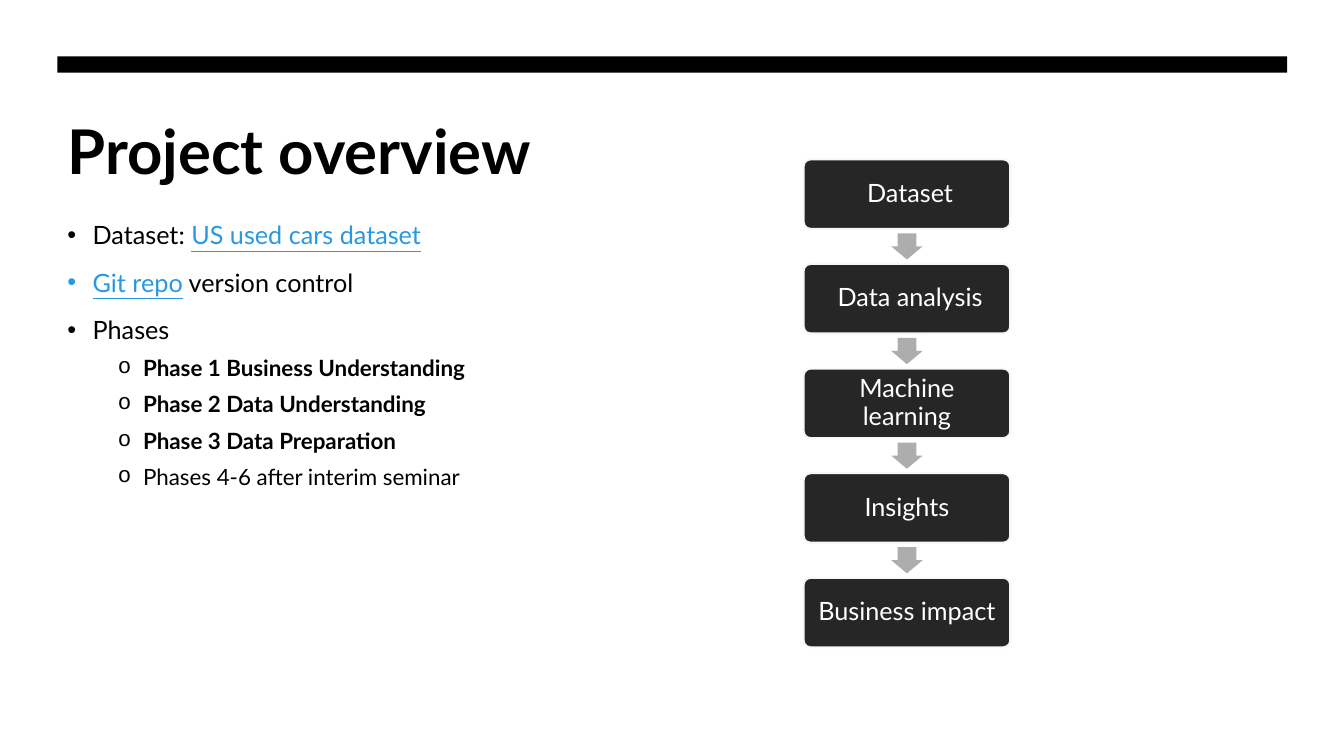
from dataclasses import dataclass

from lxml.etree import SubElement
from pptx import Presentation
from pptx.dml.color import RGBColor as RGB
from pptx.enum.shapes import MSO_SHAPE as SHAPE
from pptx.enum.text import MSO_ANCHOR as ANCHOR, PP_ALIGN as ALIGN
from pptx.oxml.ns import qn
from pptx.util import Inches, Pt

WIDTH, HEIGHT = Inches(13.33), Inches(7.5)


@dataclass(frozen=True)
class Theme:
    """Colours, font and type sizes of the slide."""
    font: str = "Lato"
    ink: str = "000000"
    link: str = "2998E3"
    box: str = "262626"
    edge: str = "F7F7F7"
    arrow: str = "ADADAD"
    paper: str = "FFFFFF"
    title: int = 44
    body: int = 18
    detail: int = 16


THEME = Theme()

BULLETS = [
    (0, [("Dataset: ", ""), ("US used cars dataset", "link")]),
    (0, [("Git repo", "link"), (" version control", "")]),
    (0, [("Phases", "")]),
    (1, [("Phase 1 Business Understanding", "bold")]),
    (1, [("Phase 2 Data Understanding", "bold")]),
    (1, [("Phase 3 Data Preparation", "bold")]),
    (1, [("Phases 4-6 after interim seminar", "")]),
]
LEVELS = [
    {"char": "•", "face": "Arial", "indent": 0.25, "before": 10, "size": THEME.body},
    {"char": "o", "face": "Courier New", "indent": 0.75, "before": 5, "size": THEME.detail},
]
STEPS = [" Dataset", " Data analysis", "Machine learning", "Insights", "Business impact"]


def place(left, top, width, height):
    """Turn percentages of the slide into lengths."""
    return (int(WIDTH * left / 100), int(HEIGHT * top / 100),
            int(WIDTH * width / 100), int(HEIGHT * height / 100))


def add_run(p, text, size, color, bold=False, underline=False):
    """Append one styled run to a paragraph."""
    r = p.add_run()
    r.text = text
    r.font.name, r.font.size = THEME.font, Pt(size)
    r.font.bold, r.font.underline = bold, underline
    r.font.color.rgb = RGB.from_string(color)


def add_block(s, kind, area, fill):
    """Draw a flat preset shape without a line."""
    sp = s.shapes.add_shape(kind, *place(*area))
    sp.shadow.inherit = False
    sp.fill.solid()
    sp.fill.fore_color.rgb = RGB.from_string(fill)
    sp.line.fill.background()
    return sp


def add_text(s, area):
    """Add a wrapping text box and return its frame."""
    tf = s.shapes.add_textbox(*place(*area)).text_frame
    tf.word_wrap = True
    return tf


def set_bullet(p, level):
    """Give a paragraph the bullet and hanging indent of its level."""
    pPr = p._p.get_or_add_pPr()
    pPr.set("marL", str(Inches(level["indent"])))
    pPr.set("indent", str(Inches(-0.25)))
    SubElement(pPr, qn("a:buFont"), typeface=level["face"])
    SubElement(pPr, qn("a:buChar"), char=level["char"])


def add_bullets(s, area, items):
    """Write the two-level bullet list."""
    tf = add_text(s, area)
    for i, (depth, runs) in enumerate(items):
        p = tf.paragraphs[0] if i == 0 else tf.add_paragraph()
        level = LEVELS[depth]
        p.level, p.line_spacing = depth, 1.1
        p.space_before = Pt(level["before"] if i else 0)
        set_bullet(p, level)
        for text, style in runs:
            linked = style == "link"
            add_run(p, text, level["size"], THEME.link if linked else THEME.ink,
                    style == "bold", linked)


def add_step(s, area, label):
    """Draw one rounded box of the flow with its label."""
    sp = add_block(s, SHAPE.ROUNDED_RECTANGLE, area, THEME.box)
    sp.adjustments[0] = 0.1
    sp.line.color.rgb = RGB.from_string(THEME.edge)
    sp.line.width = Pt(1.5)
    tf = sp.text_frame
    tf.word_wrap, tf.vertical_anchor = True, ANCHOR.MIDDLE
    tf.margin_left = tf.margin_right = Inches(0.09)
    tf.margin_top = tf.margin_bottom = Inches(0.09)
    p = tf.paragraphs[0]
    p.alignment, p.line_spacing = ALIGN.CENTER, 0.9
    add_run(p, label, THEME.body, THEME.paper)


def add_flow(s, area, pitch, labels):
    """Stack the steps with an arrow centred in each gap."""
    left, top, width, height = area
    arrow_w, arrow_h = 2.33, 3.47
    for i, label in enumerate(labels):
        y = top + i * pitch
        add_step(s, (left, y, width, height), label)
        if i < len(labels) - 1:
            arrow = add_block(s, SHAPE.DOWN_ARROW,
                              (left + (width - arrow_w) / 2,
                               y + (height + pitch - arrow_h) / 2, arrow_w, arrow_h),
                              THEME.arrow)
            arrow.adjustments[0], arrow.adjustments[1] = 0.6, 0.5


def main():
    """Build and save the project overview slide."""
    prs = Presentation()
    prs.slide_width, prs.slide_height = WIDTH, HEIGHT
    s = prs.slides.add_slide(prs.slide_layouts[6])
    add_block(s, SHAPE.RECTANGLE, (4.28, 7.47, 91.5, 2.13), THEME.ink)
    title = add_text(s, (4.28, 14.27, 91.5, 12))
    add_run(title.paragraphs[0], "Project overview", THEME.title, THEME.ink, bold=True)
    add_bullets(s, (4.28, 28, 41.56, 64.53), BULLETS)
    add_flow(s, (59.79, 21.07, 15.38, 9.2), 13.84, STEPS)
    prs.save("out.pptx")


if __name__ == "__main__":
    main()
